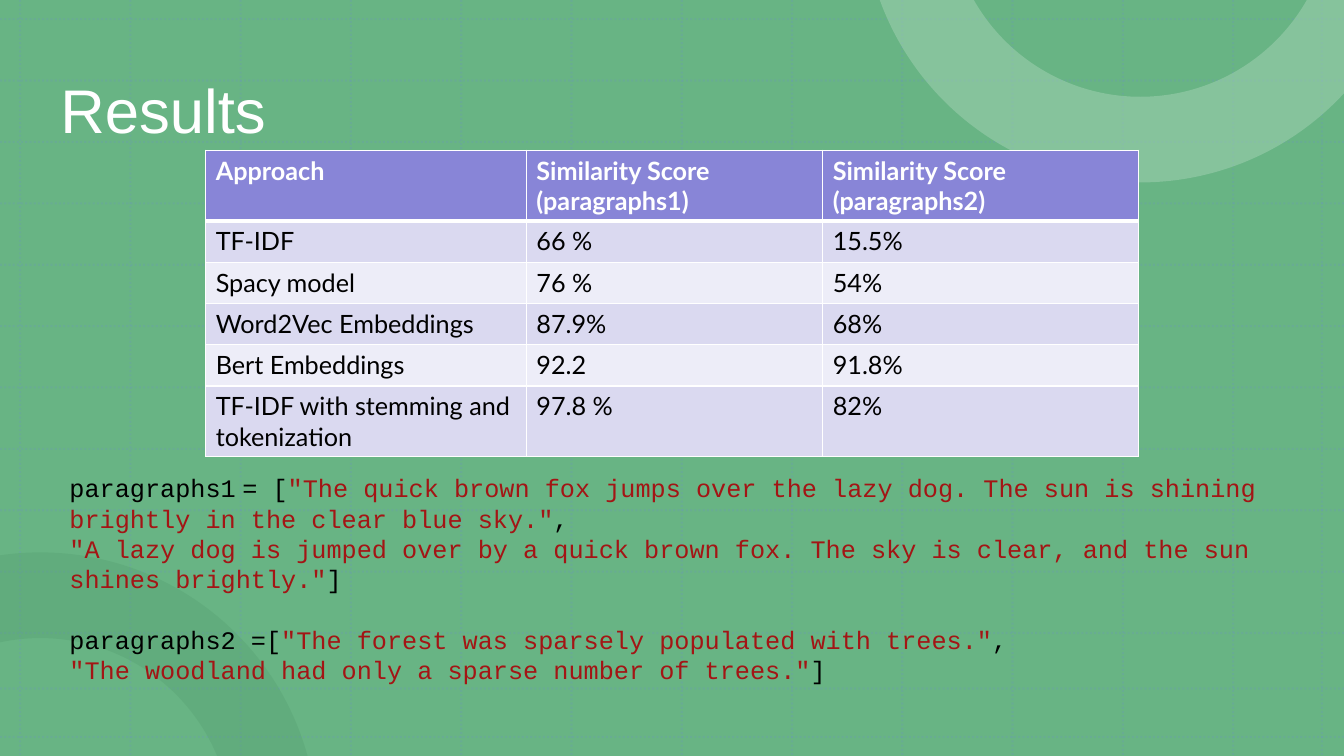
import math

import pptx
import pptx.dml.color
import pptx.enum.dml
import pptx.enum.shapes
import pptx.enum.text
import pptx.oxml
import pptx.oxml.ns
import pptx.util
from pptx.util import Inches

WIDTH, HEIGHT = 13.33, 7.5
GREEN, WHITE, BLACK, STRING_RED = "68B484", "FFFFFF", "000000", "A31515"
OUTER_RADIUS, INNER_RADIUS = 2.75, 1.9

RESULTS = [
    ["Approach", "Similarity Score (paragraphs1)", "Similarity Score\n(paragraphs2)"],
    ["TF-IDF", "66 %", "15.5%"],
    ["Spacy model", "76 %", "54%"],
    ["Word2Vec Embeddings", "87.9%", "68%"],
    ["Bert Embeddings", "92.2", "91.8%"],
    ["TF-IDF with stemming and tokenization", "97.8 %", "82%"],
]

# Each code line is a list of spans: text and colour
CODE = [
    [("paragraphs1", BLACK), (" ", BLACK), ("= [", BLACK),
     ('"The quick brown fox jumps over the lazy dog. The sun is shining '
      'brightly in the clear blue sky."', STRING_RED), (",", BLACK)],
    [('"A lazy dog is jumped over by a quick brown fox. The sky is clear, '
      'and the sun shines brightly."', STRING_RED), ("]", BLACK)],
    [("paragraphs2 =[", BLACK),
     ('"The forest was sparsely populated with trees."', STRING_RED), (",", BLACK)],
    [('"The woodland had only a sparse number of trees."', STRING_RED), ("]", BLACK)],
]


def rgb(color):
    return pptx.dml.color.RGBColor.from_string(color)


def set_fill(fill, color):
    fill.solid()
    fill.fore_color.rgb = rgb(color)


def set_opacity(element, percent):
    color = element.find(".//" + pptx.oxml.ns.qn("a:srgbClr"))
    color.append(color.makeelement(pptx.oxml.ns.qn("a:alpha"), {"val": str(percent * 1000)}))


def style_run(span, size, font, color, bold=False):
    span.font.size = pptx.util.Pt(size)
    span.font.name = font
    span.font.bold = bold
    span.font.color.rgb = rgb(color)


def style_shape(shape, color):
    set_fill(shape.fill, color)
    shape.line.fill.background()
    shape.shadow.inherit = False


def add_grid_line(page, x1, y1, x2, y2):
    line = page.shapes.add_connector(
        pptx.enum.shapes.MSO_CONNECTOR.STRAIGHT, Inches(x1), Inches(y1), Inches(x2), Inches(y2))
    line.line.width = pptx.util.Pt(1.5)
    line.line.color.rgb = rgb("6A90CE")
    line.line.dash_style = pptx.enum.dml.MSO_LINE.ROUND_DOT
    properties = line._element.spPr
    set_opacity(properties, 20)
    properties.append(properties.makeelement(pptx.oxml.ns.qn("a:effectLst"), {}))


def add_grid(page):
    for x in [0.2 + (12.23 - 0.2) * column / 11 for column in range(12)] + [13.11]:
        add_grid_line(page, x, 0, x, HEIGHT)
    for y in [0.19 + (6.28 - 0.19) * row / 10 for row in range(11)] + [6.83, 7.31]:
        add_grid_line(page, 0, y, WIDTH, y)


def arc(x, y, radius, *angles):
    """Bezier points through the angles: a start, then two handles and an end for each part."""
    def at(angle, pull=0):
        return (x + radius * (math.cos(angle) - pull * math.sin(angle)),
                y + radius * (math.sin(angle) + pull * math.cos(angle)))

    points = [at(angles[0])]
    for start, end in zip(angles, angles[1:]):
        pull = 4 / 3 * math.tan((end - start) / 4)
        points += [at(start, pull), at(end, -pull), at(end)]
    return points


def add_ring(page, outer, corners, inner, color, opacity):
    points = [(Inches(x), Inches(y)) for x, y in outer + corners + inner]
    builder = page.shapes.build_freeform(*points[0])
    builder.add_line_segments(points[1:], close=True)
    shape = builder.convert_to_shape()
    style_shape(shape, color)
    set_opacity(shape._element.spPr, opacity)

    # Turn each handle, handle, end triple into one curve
    lines = list(shape._element.iter(pptx.oxml.ns.qn("a:lnTo")))
    inner_start = len(outer) + len(corners)
    for first in [0, 3, inner_start, inner_start + 3]:
        triple = lines[first:first + 3]
        curve = triple[0].makeelement(pptx.oxml.ns.qn("a:cubicBezTo"), {})
        triple[0].addprevious(curve)
        for step in triple:
            curve.append(step[0])
            step.getparent().remove(step)


def add_rings(page):
    top, bottom = -math.pi / 2, math.pi / 2

    # Bottom left ring, cut by the left and bottom edges
    x, y = 0.4, 8.23

    def lower_arc(radius):
        return arc(x, y, radius, -math.acos(-x / radius), top, -math.asin((y - HEIGHT) / radius))

    add_ring(page, lower_arc(OUTER_RADIUS), [], lower_arc(INNER_RADIUS)[::-1], "478E61", 20)

    # Top right ring, cut by the top and right edges
    x, y = 11.31, -0.94
    outer = arc(x, y, OUTER_RADIUS, math.pi - math.asin(-y / OUTER_RADIUS), bottom,
                math.acos((WIDTH - x) / OUTER_RADIUS))
    start = math.asin(-y / INNER_RADIUS)
    inner = arc(x, y, INNER_RADIUS, start, bottom, math.pi - start)
    add_ring(page, outer, [(WIDTH, 0)], inner, "A4D2B5", 50)


def add_text_box(page, left, top, width, height):
    box = page.shapes.add_textbox(Inches(left), Inches(top), Inches(width), Inches(height))
    box.text_frame.word_wrap = True
    return box.text_frame


def add_title(page, text):
    frame = add_text_box(page, 0.5, 0.4, 11.73, 1.45)
    frame.vertical_anchor = pptx.enum.text.MSO_ANCHOR.MIDDLE
    frame.text = text
    para = frame.paragraphs[0]
    para.line_spacing = 0.9
    style_run(para.runs[0], 44, "Arial", WHITE)


def set_borders(cell, top_width, bottom_width):
    properties = cell._tc.get_or_add_tcPr()
    widths = {"lnL": 1, "lnR": 1, "lnT": top_width, "lnB": bottom_width}
    for index, (side, width) in enumerate(widths.items()):
        properties.insert(index, pptx.oxml.parse_xml(
            f'<a:{side} {pptx.oxml.ns.nsdecls("a")} w="{pptx.util.Pt(width)}"><a:solidFill>'
            f'<a:srgbClr val="{WHITE}"/></a:solidFill></a:{side}>'))


def add_results_table(page):
    widths, heights = [3.18, 2.94, 3.13], [0.69] + [0.41] * 4 + [0.69]
    table = page.shapes.add_table(
        len(heights), len(widths), Inches(2.04), Inches(1.49),
        Inches(sum(widths)), Inches(sum(heights))).table
    for column, width in zip(table.columns, widths):
        column.width = Inches(width)
    for row_index, (row, height) in enumerate(zip(table.rows, heights)):
        row.height = Inches(height)
        header = row_index == 0
        band = "8885D7" if header else ("EDEDF8", "DAD9F0")[row_index % 2]
        for cell, text in zip(row.cells, RESULTS[row_index]):
            cell.text_frame.text = text
            set_fill(cell.fill, band)
            set_borders(cell, 3 if row_index == 1 else 1, 3 if header else 1)
            for para in cell.text_frame.paragraphs:
                style_run(para.runs[0], 18, "Lato", WHITE if header else BLACK, header)


def add_code(page):
    frame = add_text_box(page, 0.59, 4.64, 12.88, 2.52)
    for index, parts in enumerate(CODE):
        para = frame.paragraphs[0] if index == 0 else frame.add_paragraph()
        para.line_spacing = pptx.util.Pt(21.6)
        if index == 2:
            para.space_before = pptx.util.Pt(21.6)
        for text, color in parts:
            span = para.add_run()
            span.text = text
            style_run(span, 18, "Lato" if text == " " else "Courier New", color)


def main():
    deck = pptx.Presentation()
    deck.slide_width, deck.slide_height = Inches(WIDTH), Inches(HEIGHT)
    page = deck.slides.add_slide(deck.slide_layouts[6])

    # Backdrop
    backdrop = page.shapes.add_shape(
        pptx.enum.shapes.MSO_SHAPE.RECTANGLE, 0, 0, deck.slide_width, deck.slide_height)
    style_shape(backdrop, GREEN)
    add_grid(page)
    add_rings(page)

    # Content
    add_title(page, "Results")
    add_results_table(page)
    add_code(page)

    deck.save("out.pptx")


if __name__ == "__main__":
    main()
